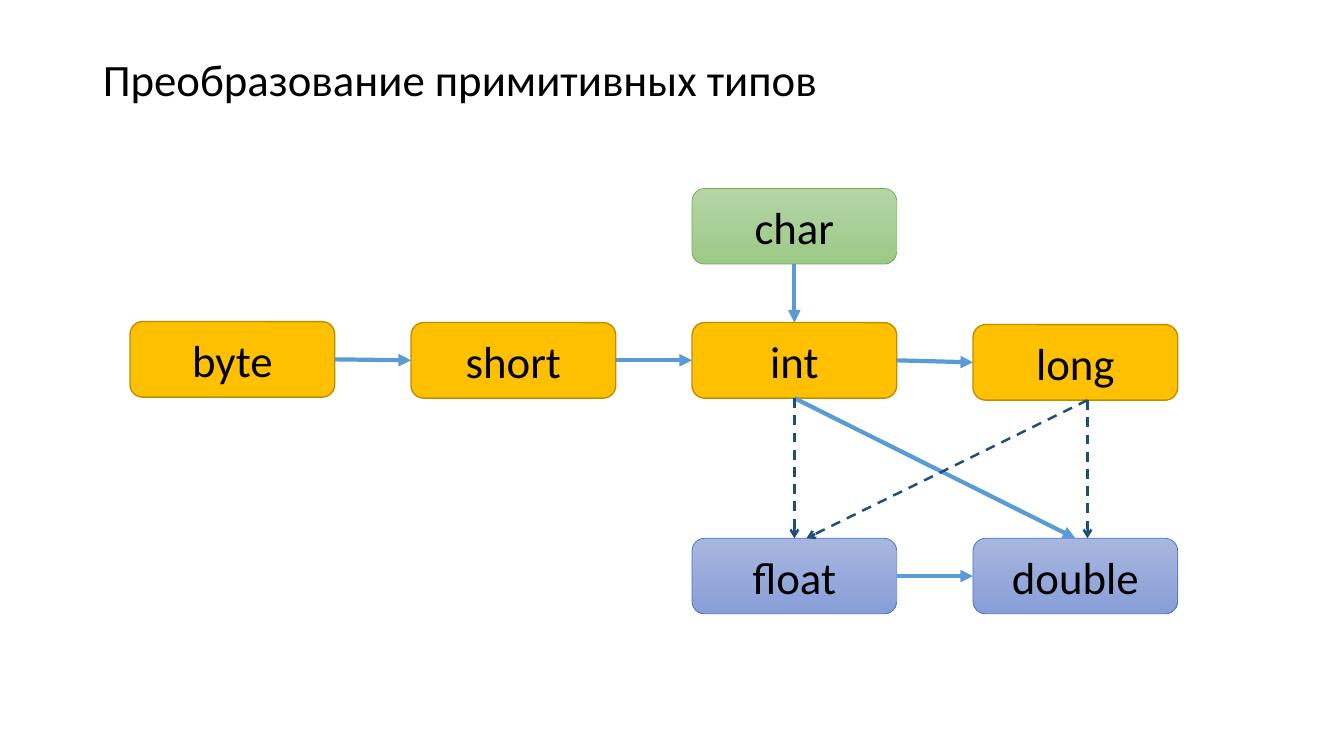
import pptx
import pptx.util
import pptx.dml.color
import pptx.enum.dml
import pptx.enum.shapes
import pptx.enum.text
import pptx.oxml
import pptx.oxml.ns

Inches = pptx.util.Inches
Pt = pptx.util.Pt
RGBColor = pptx.dml.color.RGBColor
ALIGN = pptx.enum.text.PP_ALIGN
SHAPE = pptx.enum.shapes.MSO_SHAPE
DASH = pptx.enum.dml.MSO_LINE

BLACK = RGBColor(0x00, 0x00, 0x00)
AMBER = RGBColor(0xFF, 0xC0, 0x00)
AMBER_EDGE = RGBColor(0xBD, 0x8E, 0x00)
BLUE_TOP = RGBColor(0xA8, 0xB7, 0xDF)
BLUE_BOTTOM = RGBColor(0x88, 0x9E, 0xD7)
BLUE_EDGE = RGBColor(0x44, 0x72, 0xC4)
GREEN_TOP = RGBColor(0xB5, 0xD5, 0xA7)
GREEN_BOTTOM = RGBColor(0x9C, 0xC9, 0x87)
GREEN_EDGE = RGBColor(0x70, 0xAD, 0x47)
SKY = RGBColor(0x5B, 0x9B, 0xD5)
NAVY = RGBColor(0x1F, 0x4E, 0x79)

TITLE = "Преобразование примитивных типов"

FAMILIES = {
    "integer": ([AMBER], AMBER_EDGE, 1),
    "floating": ([BLUE_TOP, BLUE_BOTTOM], BLUE_EDGE, 0.5),
    "character": ([GREEN_TOP, GREEN_BOTTOM], GREEN_EDGE, 0.5),
}
TYPES = [
    ("byte", "integer", 0, 3.19),
    ("short", "integer", 1, 3.2),
    ("int", "integer", 2, 3.2),
    ("long", "integer", 3, 3.22),
    ("double", "floating", 3, 5.34),
    ("float", "floating", 2, 5.34),
    ("char", "character", 2, 1.87),
]

TOP, LEFT, BOTTOM, RIGHT = range(4)
ACROSS, DOWN = (RIGHT, LEFT), (BOTTOM, TOP)
EXACT = (SKY, 3, None, "triangle")
LOSSY = (NAVY, 1.75, DASH.DASH, "arrow")
CONVERSIONS = [
    ("byte", "short", ACROSS, EXACT, 0),
    ("short", "int", ACROSS, EXACT, 0),
    ("int", "long", ACROSS, EXACT, 0),
    ("char", "int", DOWN, EXACT, 0),
    ("int", "double", DOWN, EXACT, 0),
    ("int", "float", DOWN, LOSSY, 0),
    ("long", "double", DOWN, LOSSY, 0.12),
    ("long", "float", DOWN, LOSSY, 0.12),
    ("float", "double", ACROSS, EXACT, 0),
]

FIRST_LEFT, COLUMN_STEP = 1.29, 2.787
BOX_WIDTH, BOX_HEIGHT = 2.03, 0.75


def write(frame, text, align=ALIGN.CENTER, size=32, font="Calibri", color=BLACK, spacing=None):
    frame.word_wrap = True
    frame.vertical_anchor = pptx.enum.text.MSO_ANCHOR.MIDDLE
    paragraph = frame.paragraphs[0]
    paragraph.alignment = align
    paragraph.line_spacing = spacing
    run = paragraph.add_run()
    run.text = text
    run.font.size = Pt(size)
    run.font.name = font
    run.font.color.rgb = color


def add_type(name, family, column, top):
    colors, edge, edge_width = FAMILIES[family]
    box = slide.shapes.add_shape(
        SHAPE.ROUNDED_RECTANGLE, Inches(FIRST_LEFT + column * COLUMN_STEP), Inches(top),
        Inches(BOX_WIDTH), Inches(BOX_HEIGHT))
    box.shadow.inherit = False
    if len(colors) == 1:
        box.fill.solid()
        box.fill.fore_color.rgb = colors[0]
    else:
        box.fill.gradient()
        box.fill.gradient_angle = 270
        for stop, color in zip(box.fill.gradient_stops, colors):
            stop.color.rgb = color
    box.line.color.rgb = edge
    box.line.width = Pt(edge_width)
    write(box.text_frame, name)
    return box


def add_conversion(source, target, sides, style, shift):
    color, width, dash, head = style
    arrow = slide.shapes.add_connector(pptx.enum.shapes.MSO_CONNECTOR.STRAIGHT, 0, 0, 0, 0)
    arrow.begin_connect(boxes[source], sides[0])
    arrow.end_connect(boxes[target], sides[1])
    if shift:
        begin_x, end_x = arrow.begin_x, arrow.end_x
        properties = arrow._element.nvCxnSpPr.cNvCxnSpPr
        for glue in list(properties):
            properties.remove(glue)
        arrow.begin_x = begin_x + Inches(shift)
        arrow.end_x = end_x + Inches(shift)
    arrow.line.color.rgb = color
    arrow.line.width = Pt(width)
    if dash:
        arrow.line.dash_style = dash
    line = arrow.line._get_or_add_ln()
    tail = pptx.oxml.parse_xml(f'<a:tailEnd {pptx.oxml.ns.nsdecls("a")} type="{head}"/>')
    line.append(tail)
    effects = pptx.oxml.parse_xml(f'<a:effectLst {pptx.oxml.ns.nsdecls("a")}/>')
    arrow._element.spPr.append(effects)


deck = pptx.Presentation()
deck.slide_width, deck.slide_height = Inches(13.33), Inches(7.5)
slide = deck.slides.add_slide(deck.slide_layouts[5])

heading = slide.shapes.title
heading.left, heading.top = Inches(0.92), Inches(0.4)
heading.width, heading.height = Inches(11.5), Inches(0.82)
write(heading.text_frame, TITLE, align=ALIGN.LEFT, spacing=0.9)

boxes = {entry[0]: add_type(*entry) for entry in TYPES}
for conversion in CONVERSIONS:
    add_conversion(*conversion)

deck.save("out.pptx")
